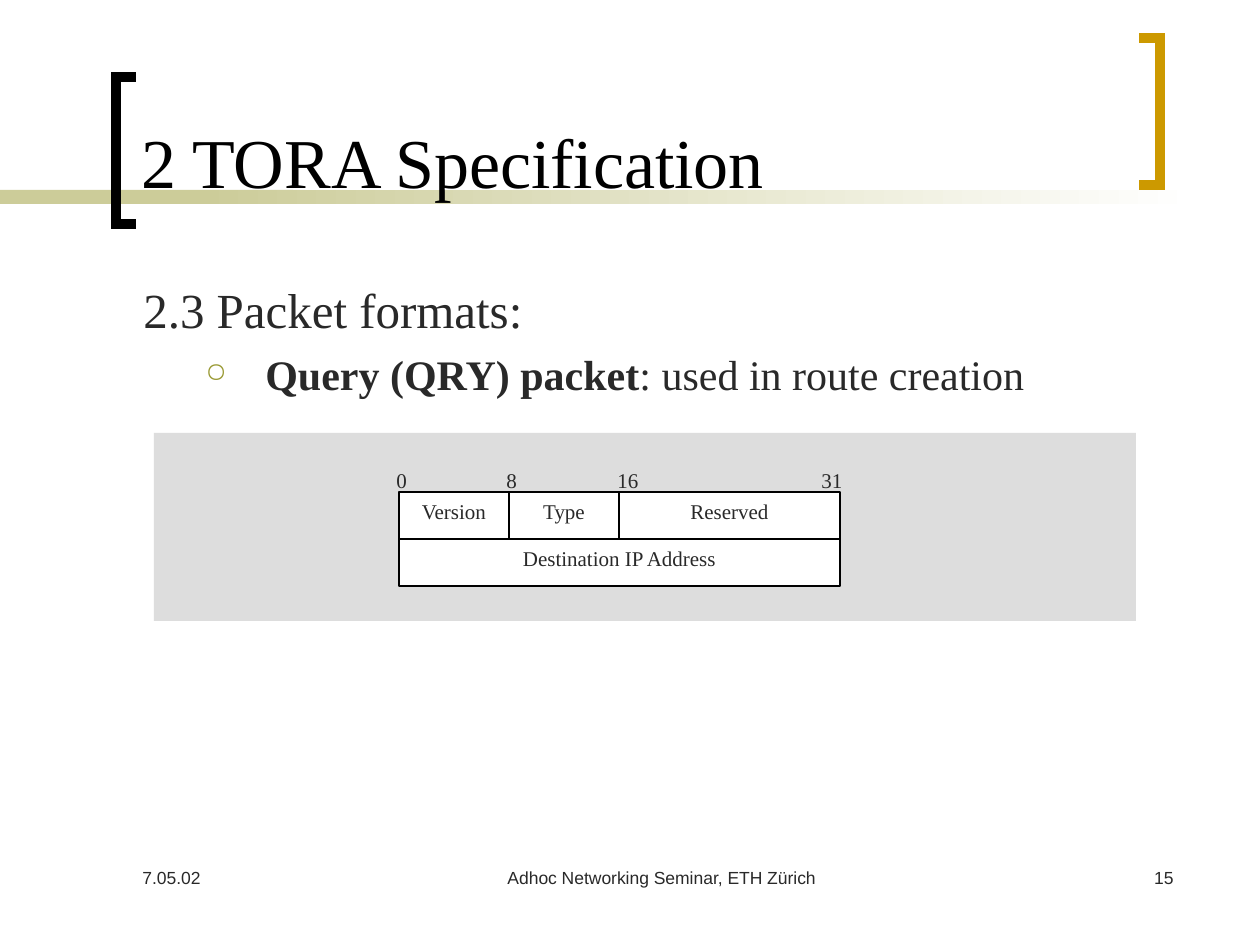
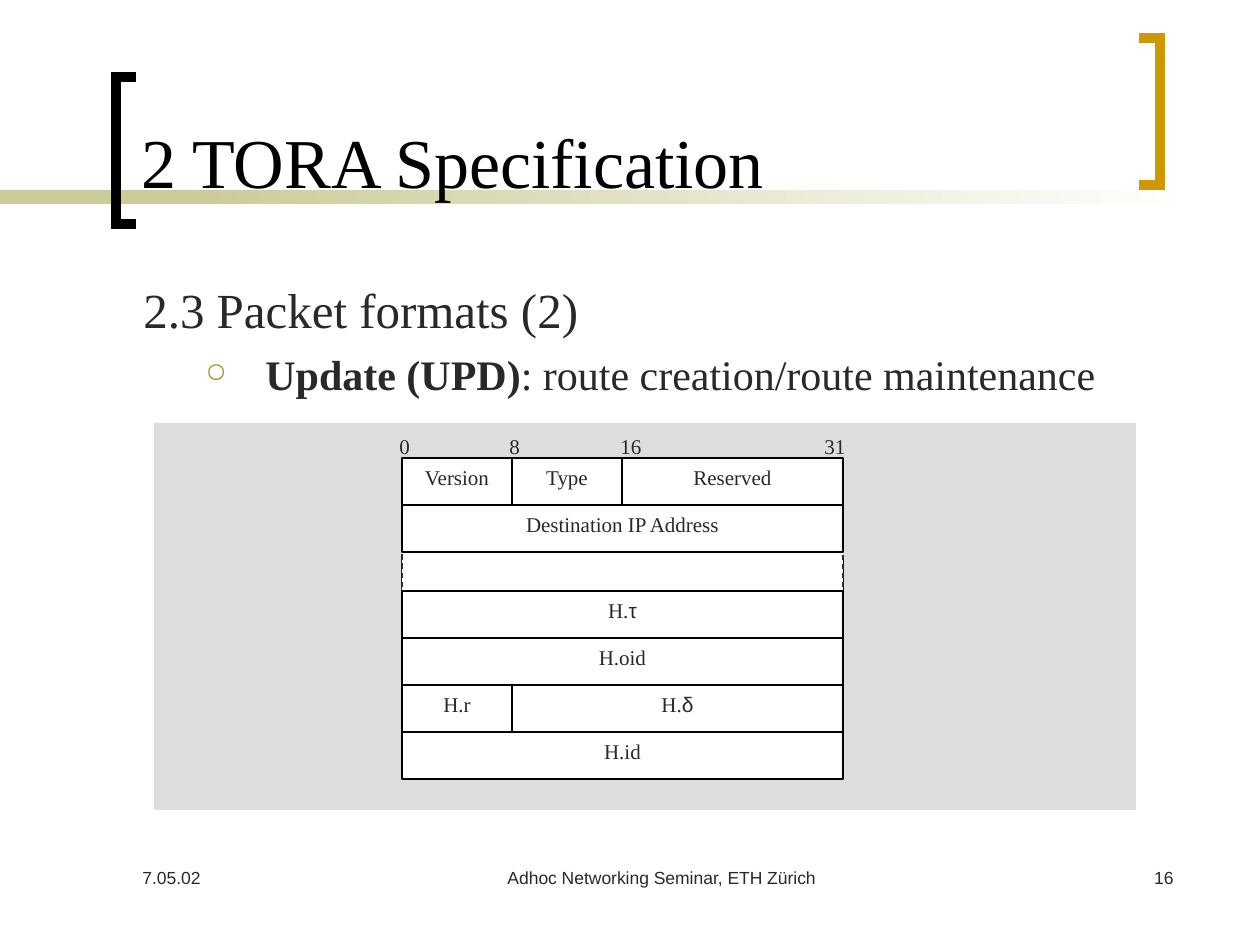
from lxml import etree
from pptx import Presentation
from pptx.dml.color import RGBColor
from pptx.enum.dml import MSO_LINE
from pptx.enum.shapes import MSO_CONNECTOR, MSO_SHAPE
from pptx.enum.text import MSO_ANCHOR, PP_ALIGN
from pptx.oxml.ns import qn
from pptx.util import Pt

COLORS = {"black": "000000", "text": "292929", "olive": "CCCC99", "gold": "CC9900",
          "bullet": "999933", "panel": "DDDDDD", "white": "FFFFFF"}
SERIF, SANS = "Times New Roman", "Arial"

TITLE = "2 TORA Specification"
DATE, EVENT = "7.05.02", "Adhoc Networking Seminar, ETH Zürich"

# A packet row lists its fields as (bits, label); Greek letters are set in SANS.
HEADER_ROWS = [
    [(8, "Version"), (8, "Type"), (16, "Reserved")],
    [(32, "Destination IP Address")],
]
HEIGHT_ROWS = [
    [(32, "H.τ")],
    [(32, "H.oid")],
    [(8, "H.r"), (24, "H.δ")],
    [(32, "H.id")],
]
SLIDES = [
    {"number": "15", "heading": "2.3 Packet formats:",
     "packet": "Query (QRY) packet", "use": ": used in route creation",
     "panel": (154, 433, 982, 188), "left": 399,
     "blocks": [(492, HEADER_ROWS)], "elided": None},
    {"number": "16", "heading": "2.3 Packet formats (2)",
     "packet": "Update (UPD)", "use": ": route creation/route maintenance",
     "panel": (154, 423, 982, 387), "left": 402,
     "blocks": [(591, HEIGHT_ROWS), (458, HEADER_ROWS)], "elided": (552, 49)},
]
BIT_LABELS = [("0", -15), ("8", 95), ("16", 206), ("31", 410)]  # offset from packet's left
BRACKETS = [  # open end x, spine x, top, bottom
    (136, 116, 77, 224, "black"),
    (1139, 1160, 38, 185, "gold"),
]
FOOTERS = [(130, 262, PP_ALIGN.LEFT), (462, 399, PP_ALIGN.CENTER), (924, 262, PP_ALIGN.RIGHT)]
PACKET_WIDTH, PACKET_BITS, ROW_HEIGHT = 441, 32, 47
EMU_PER_PX = 914400 / 126


def emu(px):
    return round(px * EMU_PER_PX)


def rgb(name):
    return RGBColor.from_string(COLORS[name])


def write(para, text, size=12, font=SERIF, color="text", bold=False):
    span = para.add_run()
    span.text = text
    span.font.size = Pt(size)
    span.font.name = font
    span.font.bold = bold
    span.font.color.rgb = rgb(color)


def add_text(page, text, area, align=PP_ALIGN.LEFT, anchor=MSO_ANCHOR.TOP, **style):
    box = page.shapes.add_textbox(*map(emu, area))
    box.text_frame.word_wrap = True
    box.text_frame.vertical_anchor = anchor
    para = box.text_frame.paragraphs[0]
    para.alignment = align
    write(para, text, **style)
    return box


def add_rect(page, area, fill, line=None):
    rect = page.shapes.add_shape(MSO_SHAPE.RECTANGLE, *map(emu, area))
    rect.shadow.inherit = False
    rect.fill.solid()
    rect.fill.fore_color.rgb = rgb(fill)
    if line:
        rect.line.color.rgb = rgb(line)
        rect.line.width = Pt(0.75)
    else:
        rect.line.fill.background()
    return rect


def add_bracket(page, open_x, spine_x, top, bottom, color):
    builder = page.shapes.build_freeform(open_x, top, scale=EMU_PER_PX)
    builder.add_line_segments([(spine_x, top), (spine_x, bottom), (open_x, bottom)], close=False)
    bracket = builder.convert_to_shape()
    bracket.shadow.inherit = False
    bracket.fill.background()
    bracket.line.color.rgb = rgb(color)
    bracket.line.width = Pt(6)
    miter = etree.SubElement(bracket.line._get_or_add_ln(), qn("a:miter"))
    miter.set("lim", "800000")


def add_frame(page, number):
    """Draw the band, brackets, title and footers that every slide shares."""
    add_rect(page, (0, 190, 293, 14), "olive")
    fade = add_rect(page, (199, 190, 998, 14), "olive")
    fade.fill.gradient()
    fade.fill.gradient_angle = 0
    for stop, color, position in zip(fade.fill.gradient_stops, ("olive", "white"), (0, 1)):
        stop.color.rgb = rgb(color)
        stop.position = position
    for bracket in BRACKETS:
        add_bracket(page, *bracket)
    for text, (left, width, align) in zip((DATE, EVENT, number), FOOTERS):
        add_text(page, text, (left, 861, width, 63), align=align, size=10, font=SANS)
    add_text(page, TITLE, (129, 14, 987, 195), anchor=MSO_ANCHOR.BOTTOM, size=40, color="black")


def add_body(page, heading, packet, use):
    box = add_text(page, heading, (131, 273, 1056, 567), size=28)
    para = box.text_frame.add_paragraph()
    para.space_before = Pt(6)
    properties = para._p.get_or_add_pPr()
    properties.set("marL", str(emu(122)))
    properties.set("indent", str(emu(-60)))
    color = etree.SubElement(properties, qn("a:buClr"))
    etree.SubElement(color, qn("a:srgbClr")).set("val", COLORS["bullet"])
    etree.SubElement(properties, qn("a:buSzPct")).set("val", "65000")
    etree.SubElement(properties, qn("a:buChar")).set("char", "○")
    write(para, packet, size=24, bold=True)
    write(para, use, size=24)


def add_field(page, area, label):
    frame = add_rect(page, area, "white", "black").text_frame
    frame.word_wrap = True
    frame.vertical_anchor = MSO_ANCHOR.TOP
    para = frame.paragraphs[0]
    para.alignment = PP_ALIGN.CENTER
    if label.isascii():
        write(para, label)
    else:
        write(para, label[:-1])
        write(para, label[-1], font=SANS)


def add_rows(page, left, top, rows):
    for index, row in enumerate(rows):
        start = 0
        for bits, label in row:
            x, right = (left + round(PACKET_WIDTH * bit / PACKET_BITS)
                        for bit in (start, start + bits))
            add_field(page, (x, top + index * ROW_HEIGHT, right - x, ROW_HEIGHT), label)
            start += bits


def add_elided_rows(page, left, top, height):
    """Draw the dashed stretch that stands for the fields left out."""
    for x in (left, left + PACKET_WIDTH):
        side = page.shapes.add_connector(
            MSO_CONNECTOR.STRAIGHT, emu(x), emu(top + 7), emu(x), emu(top + 39))
        etree.SubElement(side._element.spPr, qn("a:effectLst"))
        side.line.color.rgb = rgb("black")
        side.line.width = Pt(0.75)
        side.line.dash_style = MSO_LINE.DASH
    gap = add_rect(page, (left, top, PACKET_WIDTH, height), "white", "text")
    gap.line.dash_style = MSO_LINE.DASH


def add_packet(page, panel, left, blocks, elided):
    if elided:
        add_elided_rows(page, left, *elided)
    for top, rows in blocks:
        add_rows(page, left, top, rows)
    packet_top = min(top for top, rows in blocks)
    for text, offset in BIT_LABELS:
        add_text(page, text, (left + offset, packet_top - 31, 63, 31))


def main():
    deck = Presentation()
    deck.slide_width, deck.slide_height = emu(1260), emu(945)
    for content in SLIDES:
        page = deck.slides.add_slide(deck.slide_layouts[6])
        add_frame(page, content["number"])
        add_rect(page, content["panel"], "panel")
        add_body(page, content["heading"], content["packet"], content["use"])
        add_packet(page, content["panel"], content["left"], content["blocks"], content["elided"])
    deck.save("out.pptx")


if __name__ == "__main__":
    main()
